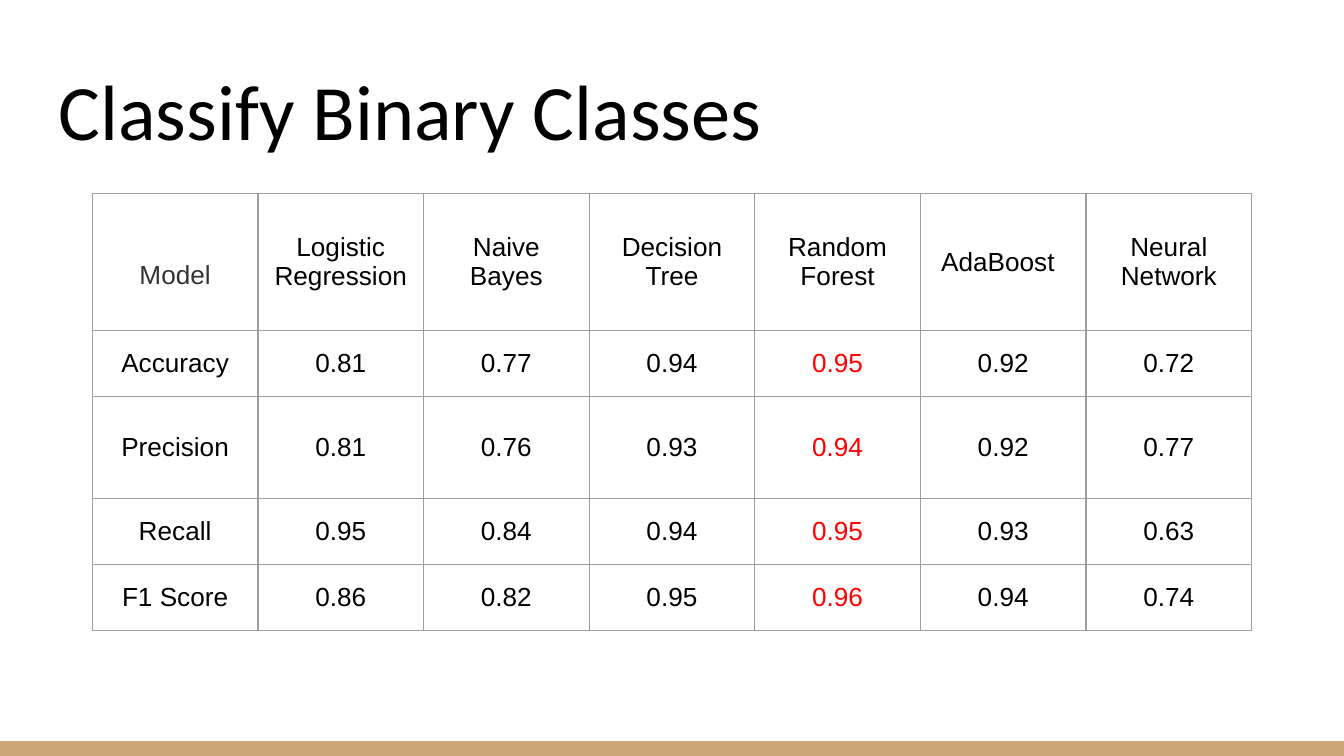
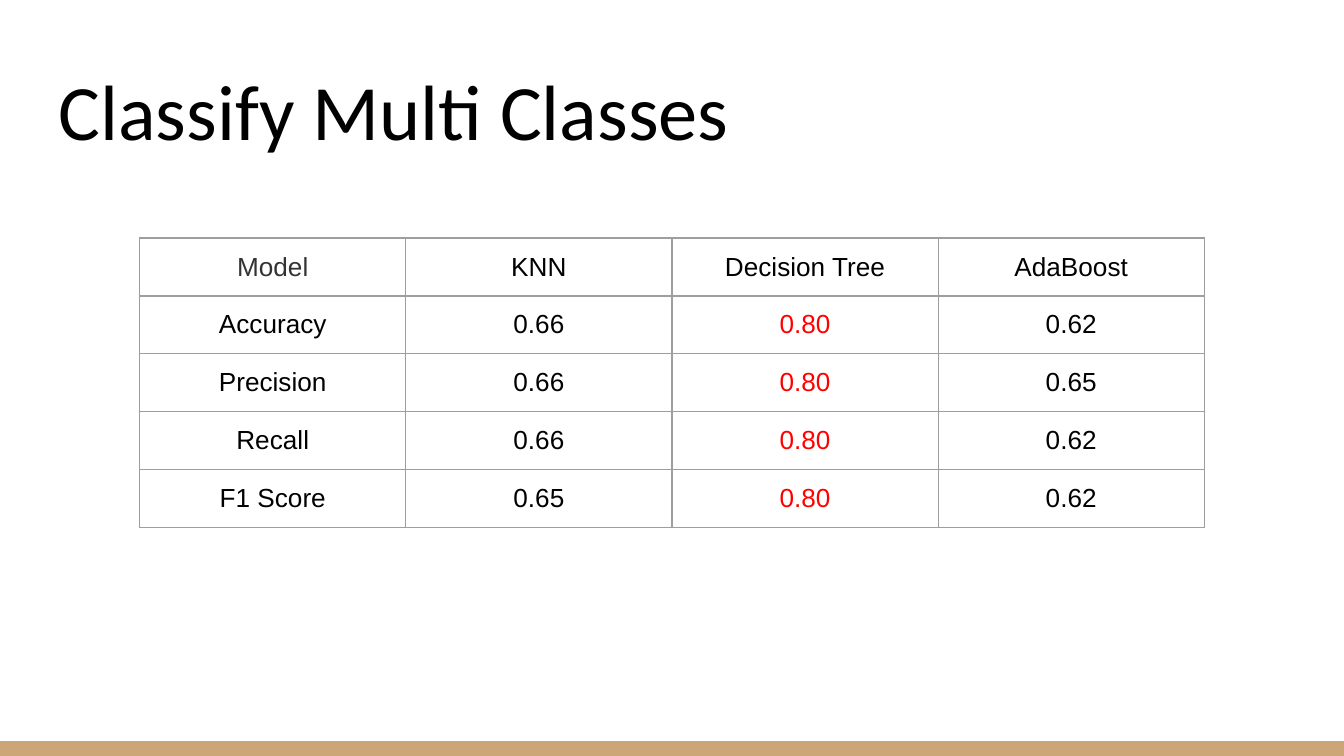
from dataclasses import dataclass

from lxml import etree
from pptx import Presentation
from pptx.dml.color import RGBColor
from pptx.enum.shapes import MSO_SHAPE
from pptx.enum.text import MSO_ANCHOR, PP_ALIGN
from pptx.oxml.ns import qn
from pptx.util import Cm, Pt

RECTANGLE = MSO_SHAPE.RECTANGLE
MIDDLE, BOTTOM = MSO_ANCHOR.MIDDLE, MSO_ANCHOR.BOTTOM
LEFT, CENTER = PP_ALIGN.LEFT, PP_ALIGN.CENTER

# Content: "best" is the highlighted column, "insets" adds (top, right) cell margins in cm
SLIDES = [
    {
        "title": "Classify Binary Classes",
        "rows": [
            ["Model", "Logistic Regression", "Naive Bayes", "Decision Tree",
             "Random Forest", "AdaBoost", "Neural Network"],
            ["Accuracy", "0.81", "0.77", "0.94", "0.95", "0.92", "0.72"],
            ["Precision", "0.81", "0.76", "0.93", "0.94", "0.92", "0.77"],
            ["Recall", "0.95", "0.84", "0.94", "0.95", "0.93", "0.63"],
            ["F1 Score", "0.86", "0.82", "0.95", "0.96", "0.94", "0.74"],
        ],
        "best": "Random Forest",
        "top": 3.66,
        "column_width": 3.13,
        "row_heights": [2.59, 1.25, 1.92, 1.25, 1.25],
        "insets": {"Model": (0.5, 0), "AdaBoost": (0, 0.2)},
    },
    {
        "title": "Classify Multi Classes",
        "rows": [
            ["Model", "KNN", "Decision Tree", "AdaBoost"],
            ["Accuracy", "0.66", "0.80", "0.62"],
            ["Precision", "0.66", "0.80", "0.65"],
            ["Recall", "0.66", "0.80", "0.62"],
            ["F1 Score", "0.65", "0.80", "0.62"],
        ],
        "best": "Decision Tree",
        "top": 4.5,
        "column_width": 5.03,
        "row_heights": [1.06] * 5,
        "insets": {},
    },
]


@dataclass(frozen=True)
class Theme:
    background: str = "FFFFFF"
    band: str = "CCA677"
    text: str = "000000"
    corner: str = "333333"
    best: str = "FF0000"
    border: str = "9E9E9E"
    border_width: float = 0.75
    title_font: str = "Calibri"
    title_size: int = 42
    body_font: str = "Arial"
    body_size: int = 14


THEME = Theme()

# Layout in cm
SLIDE_WIDTH, SLIDE_HEIGHT = 25.4, 14.29
BAND_HEIGHT = 0.28
TITLE_LEFT, TITLE_TOP, TITLE_HEIGHT = 0.86, 0.89, 2.31
INSET = 0.25


def format_text(paragraph, font_name, size, color, alignment):
    paragraph.alignment = alignment
    for run in paragraph.runs:
        run.font.name = font_name
        run.font.size = Pt(size)
        run.font.color.rgb = RGBColor.from_string(color)


def set_margins(target, extra_top=0, extra_right=0):
    target.margin_left = target.margin_bottom = Cm(INSET)
    target.margin_top = Cm(INSET + extra_top)
    target.margin_right = Cm(INSET + extra_right)


def add_borders(cell):
    properties = cell._tc.get_or_add_tcPr()
    for side in ("a:lnL", "a:lnR", "a:lnT", "a:lnB"):
        line = etree.SubElement(properties, qn(side), w=str(Pt(THEME.border_width)))
        fill = etree.SubElement(line, qn("a:solidFill"))
        etree.SubElement(fill, qn("a:srgbClr"), val=THEME.border)


def add_base_slide(presentation, title):
    slide = presentation.slides.add_slide(presentation.slide_layouts[6])
    slide.background.fill.solid()
    slide.background.fill.fore_color.rgb = RGBColor.from_string(THEME.background)

    # Bottom band
    band = slide.shapes.add_shape(RECTANGLE, 0, Cm(SLIDE_HEIGHT - BAND_HEIGHT),
                                  Cm(SLIDE_WIDTH), Cm(BAND_HEIGHT))
    band.shadow.inherit = False
    band.fill.solid()
    band.fill.fore_color.rgb = RGBColor.from_string(THEME.band)
    band.line.fill.background()

    # Title
    title_box = slide.shapes.add_textbox(Cm(TITLE_LEFT), Cm(TITLE_TOP),
                                         Cm(SLIDE_WIDTH - 2 * TITLE_LEFT), Cm(TITLE_HEIGHT))
    text_frame = title_box.text_frame
    text_frame.word_wrap = True
    text_frame.vertical_anchor = BOTTOM
    set_margins(text_frame)
    text_frame.text = title
    format_text(text_frame.paragraphs[0], THEME.title_font, THEME.title_size, THEME.text, LEFT)
    return slide


def add_score_table(slide, content):
    rows, heights = content["rows"], content["row_heights"]
    best_column = rows[0].index(content["best"])
    width = content["column_width"] * len(rows[0])
    table = slide.shapes.add_table(
        len(rows), len(rows[0]), Cm((SLIDE_WIDTH - width) / 2), Cm(content["top"]),
        Cm(width), Cm(sum(heights))).table
    table.first_row = table.horz_banding = False
    for column in table.columns:
        column.width = Cm(content["column_width"])

    for row_index, (values, height) in enumerate(zip(rows, heights)):
        table.rows[row_index].height = Cm(height)
        for column_index, value in enumerate(values):
            cell = table.cell(row_index, column_index)
            color = THEME.text
            if row_index == 0 and column_index == 0:
                color = THEME.corner
            elif row_index > 0 and column_index == best_column:
                color = THEME.best
            cell.text_frame.text = value
            format_text(cell.text_frame.paragraphs[0], THEME.body_font,
                        THEME.body_size, color, CENTER)
            cell.vertical_anchor = MIDDLE
            set_margins(cell, *content["insets"].get(value, (0, 0)))
            add_borders(cell)
            cell.fill.background()


def main():
    presentation = Presentation()
    presentation.slide_width = Cm(SLIDE_WIDTH)
    presentation.slide_height = Cm(SLIDE_HEIGHT)
    for content in SLIDES:
        slide = add_base_slide(presentation, content["title"])
        add_score_table(slide, content)
    presentation.save("out.pptx")


if __name__ == "__main__":
    main()
